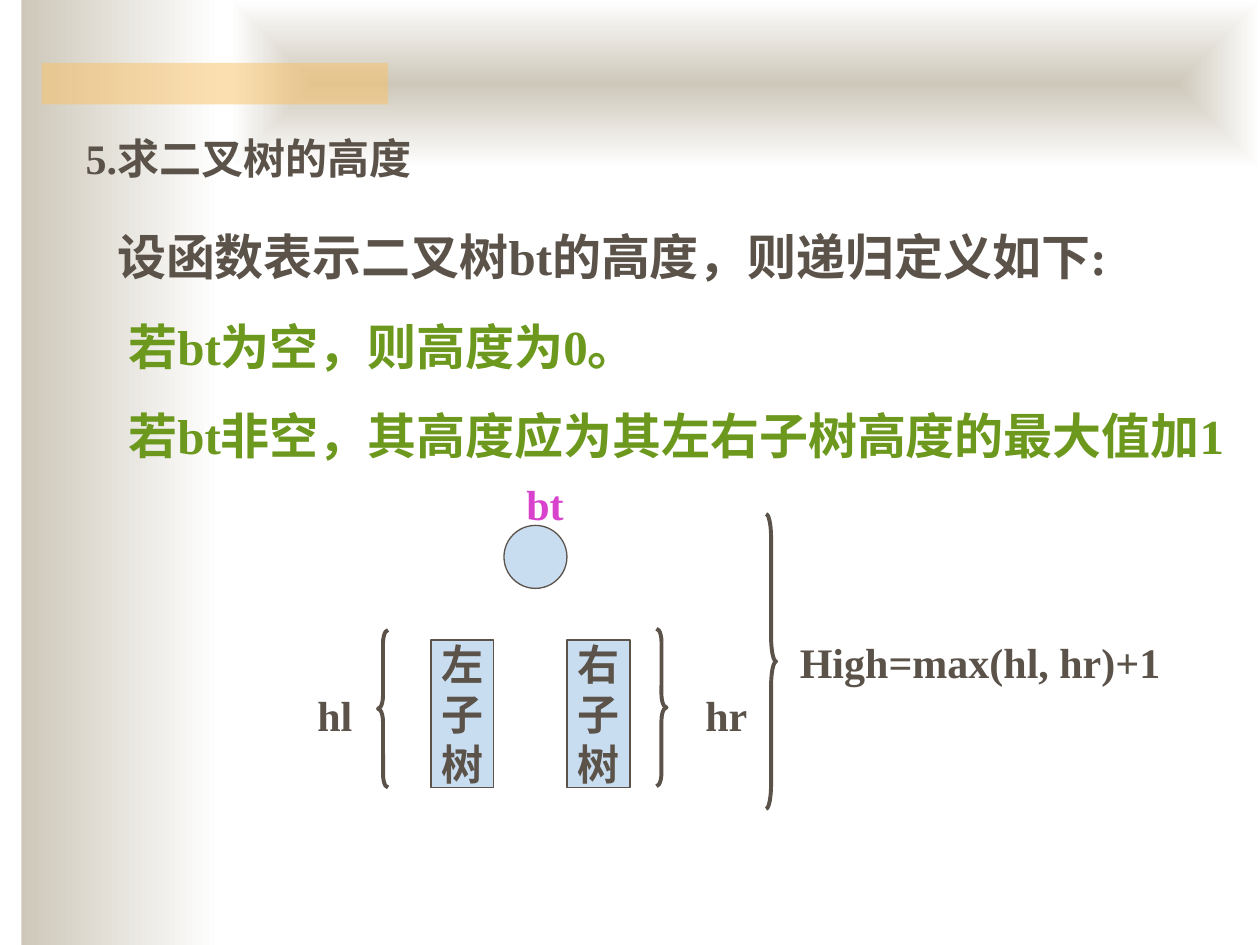
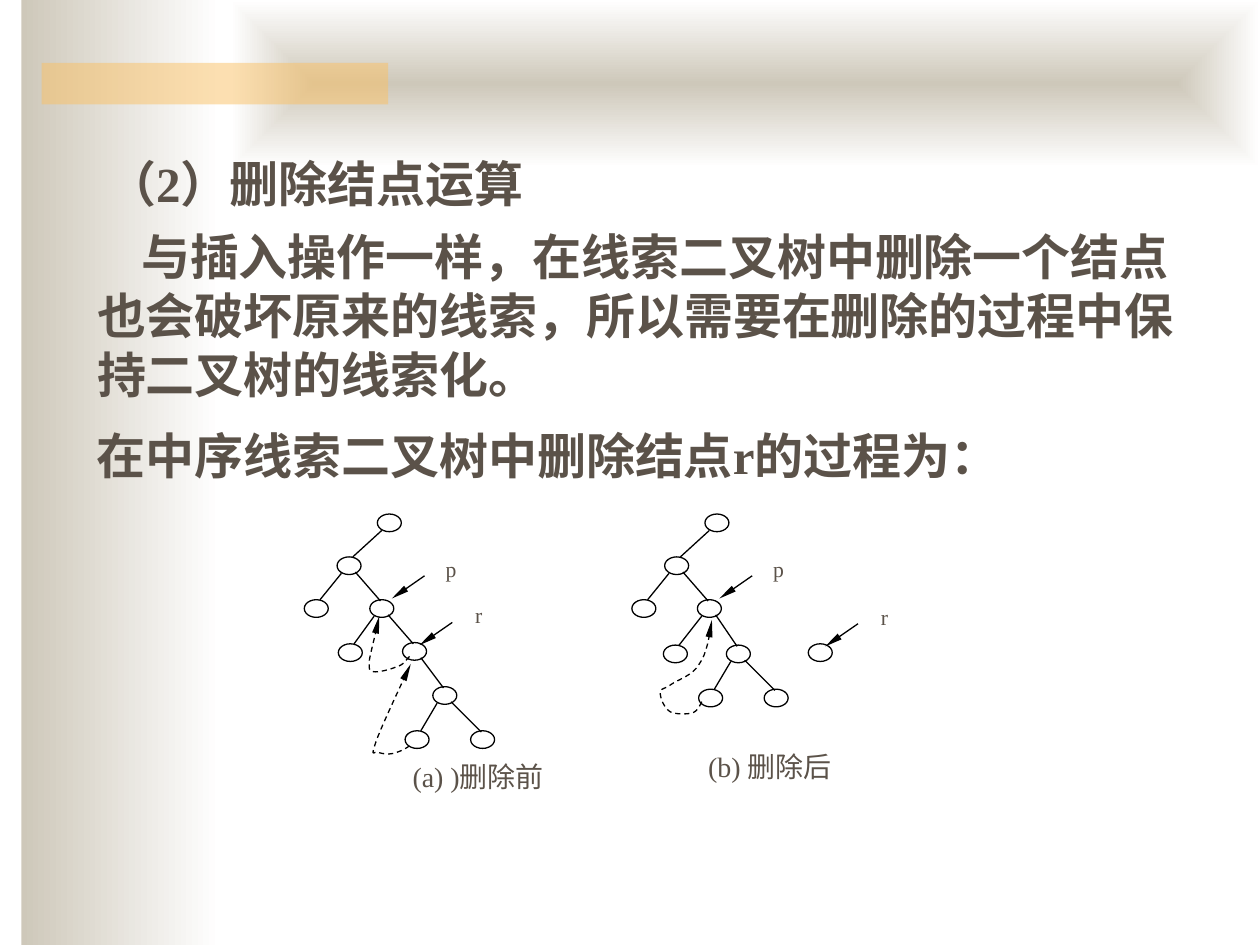
"""Builds two slides on binary tree height and node deletion in threaded trees."""
from lxml import etree
from pptx import Presentation
from pptx.dml.color import RGBColor
from pptx.enum import dml, shapes, text
from pptx.oxml.ns import qn
from pptx.util import Inches, Pt

SERIF, SANS = "Times New Roman", "Noto Sans CJK SC"
BROWN = RGBColor(0x5B, 0x52, 0x49)
GREEN = RGBColor(0x6C, 0x98, 0x1E)
PINK = RGBColor(0xD8, 0x42, 0xCD)
SAND = RGBColor(0xCE, 0xC8, 0xBA)
AMBER = RGBColor(0xFA, 0xC1, 0x64)
SKY = RGBColor(0xC9, 0xDD, 0xF1)
WHITE = RGBColor(0xFF, 0xFF, 0xFF)
BLACK = RGBColor(0, 0, 0)
SHAPE = shapes.MSO_SHAPE
CENTER = text.PP_ALIGN.CENTER

BANDS = {"side": (0.17, 0, 1.58, 7.5), "top": (1.83, 0, 8.17, 1.33),
         "accent": (0.33, 0.5, 2.75, 0.33)}

HEIGHT_TITLE = [[("5.求二叉树的高度", SERIF)]]
HEIGHT_INTRO = [("设函数表示二叉树bt的高度，则递归定义如下:", SERIF)]
HEIGHT_RULES = [
    [("若bt为空，则高度为0。", SERIF)],
    [("若", SANS), ("bt", SERIF), ("非空，其高度应为其左右子树高度的最大值加", SANS), ("1", SERIF)],
]
SUBTREES = [("左子树", 3.42), ("右子树", 4.5)]
BRACES = [(SHAPE.LEFT_BRACE, 3, 5, 1.25), (SHAPE.RIGHT_BRACE, 5.21, 4.99, 1.25),
          (SHAPE.RIGHT_BRACE, 6.08, 4.08, 2.34)]
HEIGHT_LABELS = [("bt", (4.08, 3.75, 0.67, 0.5), PINK), ("hl", (2.42, 5.42, 0.5, 0.5), BROWN),
                 ("hr", (5.5, 5.42, 0.58, 0.5), BROWN),
                 ("High=max(hl, hr)+1", (6.25, 5, 3.33, 0.5), BROWN)]

DELETE_TITLE = [[("（2）删除结点运算", SERIF)]]
DELETE_BODY = [[("与插入操作一样，在线索二叉树中删除一个结点也会破坏原来的线索，"
                 "所以需要在删除的过程中保持二叉树的线索化。", SANS)]]
DELETE_STEP = [[("在中序线索二叉树中删除结点r的过程为：", SERIF)]]

NODE_W, NODE_H = 0.19, 0.14
EDGE_ENDS = {"left": ((-0.06, 0.06), (0.03, -0.07)), "right": ((0.05, 0.05), (-0.01, -0.06))}
TREES = [
    {"caption": ("(a) )删除前", (3.03, 5.98, 1.53, 0.39)),
     "nodes": {"A": (3.09, 4.15), "B": (2.77, 4.49), "C": (2.51, 4.83), "P": (3.03, 4.83),
               "D": (2.78, 5.18), "R": (3.29, 5.17), "E": (3.53, 5.52), "F": (3.31, 5.87),
               "G": (3.83, 5.87)},
     "left": ["AB", "BC", "PD", "EF"],
     "right": ["BP", "PR", "RE", "EG"],
     "pointers": [("p", 3.37, 4.57), ("r", 3.59, 4.94)],
     "threads": [
         [(3.25, 5.21), (3.22, 5.24), (3.2, 5.28), (3.15, 5.29), (3.11, 5.31), (3, 5.34),
          (2.96, 5.33), (2.93, 5.32), (2.93, 5.32), (2.93, 5.25), (2.94, 5.18), (2.98, 5.04),
          (3.01, 4.89)],
         [(3.25, 5.92), (3.21, 5.95), (3.16, 5.97), (3.12, 5.98), (3.08, 5.99), (3.02, 5.98),
          (3, 5.97), (2.97, 5.96), (2.94, 6.02), (2.98, 5.9), (3.02, 5.78), (3.14, 5.53),
          (3.26, 5.27)]]},
    {"caption": ("(b) 删除后", (5.29, 5.9, 1.64, 0.39)),
     "nodes": {"A": (5.69, 4.15), "B": (5.37, 4.49), "C": (5.11, 4.83), "P": (5.63, 4.83),
               "D": (5.36, 5.19), "E": (5.86, 5.19), "F": (5.64, 5.54), "G": (6.16, 5.54),
               "R": (6.51, 5.18)},
     "left": ["AB", "BC", "PD", "EF"],
     "right": ["BP", "PE", "EG"],
     "pointers": [("p", 5.97, 4.57), ("r", 6.81, 4.95)],
     "threads": [
         [(5.57, 5.57), (5.55, 5.61), (5.53, 5.65), (5.49, 5.66), (5.45, 5.67), (5.36, 5.67),
          (5.32, 5.65), (5.27, 5.62), (5.24, 5.54), (5.24, 5.5), (5.24, 5.46), (5.28, 5.47),
          (5.33, 5.43), (5.39, 5.39), (5.5, 5.36), (5.55, 5.27), (5.61, 5.19), (5.63, 5.05),
          (5.65, 4.92)]]},
]


def inches(values):
    return [Inches(v) for v in values]


def set_all(obj, values):
    for name, value in values.items():
        setattr(obj, name, value)


def sub(parent, tag, **attrs):
    return etree.SubElement(parent, qn(tag), attrs)


def write(s, paragraphs, size, color=BROWN, bold=True, align=text.PP_ALIGN.LEFT,
          anchor=text.MSO_ANCHOR.TOP, wrap=True, gap=0.0, indents=()):
    tf = s.text_frame
    set_all(tf, {"word_wrap": wrap, "auto_size": text.MSO_AUTO_SIZE.NONE, "vertical_anchor": anchor,
                 "margin_left": Inches(0.1), "margin_right": Inches(0.1),
                 "margin_top": Inches(0.05), "margin_bottom": Inches(0.05)})
    for i, runs in enumerate(paragraphs):
        p = tf.add_paragraph() if i else tf.paragraphs[0]
        set_all(p, {"alignment": align, "space_before": Pt(gap if i else 0)})
        pPr = p._p.get_or_add_pPr()
        pPr.set("marL", "0")
        pPr.set("indent", str(Inches(indents[i] if indents else 0)))
        sub(pPr, "a:buNone")
        for words, font in runs:
            r = p.add_run()
            r.text = words
            set_all(r.font, {"name": font, "size": Pt(size), "bold": bold})
            r.font.color.rgb = color[i] if isinstance(color, list) else color
            sub(r.font._element, "a:ea", typeface=SANS)


def place(s, box):
    set_all(s, dict(zip(("left", "top", "width", "height"), inches(box))))
    return s


def add_label(sp, words, box, size, **options):
    write(sp.add_textbox(*inches(box)), [[(words, SERIF)]], size, **options)


def style(s, fill=None, line=None, width=0.75):
    s.shadow.inherit = False
    if fill is None:
        s.fill.background()
    else:
        s.fill.solid()
        s.fill.fore_color.rgb = fill
    if line is None:
        s.line.fill.background()
    else:
        set_line(s, line, width)
    return s


def set_line(s, color, width=0.75):
    s.line.color.rgb = color
    s.line.width = Pt(width)


def add_arrowhead(s):
    sub(s.element.spPr.find(qn("a:ln")), "a:tailEnd", type="triangle", w="sm", len="lg")


def add_line(sp, start, end, arrow=False):
    s = sp.add_connector(shapes.MSO_CONNECTOR.STRAIGHT, *inches(start + end))
    set_line(s, BLACK)
    if arrow:
        add_arrowhead(s)
    sub(s.element.spPr, "a:effectLst")


def bezier(points, steps=8):
    """Return points along joined cubic curves, without the first one."""
    result = []
    for i in range(0, len(points) - 1, 3):
        for t in (k / steps for k in range(1, steps + 1)):
            weights = ((1 - t) ** 3, 3 * t * (1 - t) ** 2, 3 * t * t * (1 - t), t ** 3)
            result.append([sum(w * q[axis] for w, q in zip(weights, points[i:i + 4]))
                           for axis in (0, 1)])
    return result


def add_thread(sp, points):
    builder = sp.build_freeform(*inches(points[0]))
    builder.add_line_segments([inches(q) for q in bezier(points)], close=False)
    s = style(builder.convert_to_shape(), line=BLACK)
    s.line.dash_style = dml.MSO_LINE.DASH
    add_arrowhead(s)


def add_bands(slide):
    """Draw the shared bands behind everything else on the slide."""
    for i, (name, box) in enumerate(BANDS.items()):
        s = style(slide.shapes.add_shape(SHAPE.RECTANGLE, *inches(box)), fill=AMBER)
        if name == "accent":
            sub(s.element.spPr.find(qn("a:solidFill"))[0], "a:alpha", val="50000")
        else:
            s.fill.gradient()
            s.fill.gradient_angle = 0
            for stop, color in zip(s.fill.gradient_stops, (SAND, WHITE)):
                stop.color.rgb = color
        if name == "top":
            grad = s.element.spPr.find(qn("a:gradFill"))
            grad.remove(grad.find(qn("a:lin")))
            sub(sub(grad, "a:path", path="rect"), "a:fillToRect",
                **dict.fromkeys("ltrb", "50000"))
        slide.shapes.element.insert(2 + i, s.element)


def build_height(slide):
    sp = slide.shapes
    write(place(sp.title, (0.58, 1, 8.5, 0.5)), HEIGHT_TITLE, 24)
    write(place(slide.placeholders[1], (0.83, 1.75, 9.17, 2.46)), [HEIGHT_INTRO] + HEIGHT_RULES,
          28, color=[BROWN, GREEN, GREEN], gap=17.5, indents=(0, 0.09, 0.09))
    style(sp.add_shape(SHAPE.OVAL, *inches((4, 4.17, 0.5, 0.5))), SKY, BROWN)
    for name, left in SUBTREES:
        s = style(sp.add_shape(SHAPE.RECTANGLE, *inches((left, 5.08, 0.5, 1.17))), SKY, BROWN)
        write(s, [[(char, SERIF)] for char in name], 24, align=CENTER,
              anchor=text.MSO_ANCHOR.MIDDLE, wrap=False)
    for kind, left, top, height in BRACES:
        width = 0.08
        s = style(sp.add_shape(kind, *inches((left, top, width, height))), None, BROWN, 2.25)
        s.adjustments[0] = height / 12 / width
    for words, box, color in HEIGHT_LABELS:
        add_label(sp, words, box, 24, color=color)


def add_tree(sp, tree):
    nodes = tree["nodes"]
    for x, y in nodes.values():
        box = (x - NODE_W / 2, y - NODE_H / 2, NODE_W, NODE_H)
        style(sp.add_shape(SHAPE.OVAL, *inches(box)), line=BLACK)
    for side, offsets in EDGE_ENDS.items():
        for edge in tree[side]:
            start, end = [(nodes[n][0] + dx, nodes[n][1] + dy)
                          for n, (dx, dy) in zip(edge, offsets)]
            add_line(sp, start, end)
    for name, x, y in tree["pointers"]:
        add_line(sp, (x, y), (x - 0.26, y + 0.18), arrow=True)
        add_label(sp, name, (x - 0.19, y - 0.21, 0.8, 0.33), 12.4, bold=False, align=CENTER)
    for points in tree["threads"]:
        add_thread(sp, points)
    add_label(sp, *tree["caption"], 16, bold=False, align=CENTER)


def build_delete(slide):
    sp = slide.shapes
    write(place(sp.title, (0.75, 1.17, 8.92, 0.57)), DELETE_TITLE, 28)
    write(place(slide.placeholders[1], (0.67, 1.75, 9, 1.5)), DELETE_BODY, 28, indents=(0.35,))
    write(sp.add_textbox(*inches((0.67, 3.33, 9, 0.57))), DELETE_STEP, 28)
    for tree in TREES:
        add_tree(sp, tree)


def main():
    prs = Presentation()
    set_all(prs, {"slide_width": Inches(10), "slide_height": Inches(7.5)})
    for build in (build_height, build_delete):
        slide = prs.slides.add_slide(prs.slide_layouts[1])
        add_bands(slide)
        build(slide)
    prs.save("out.pptx")


if __name__ == "__main__":
    main()
